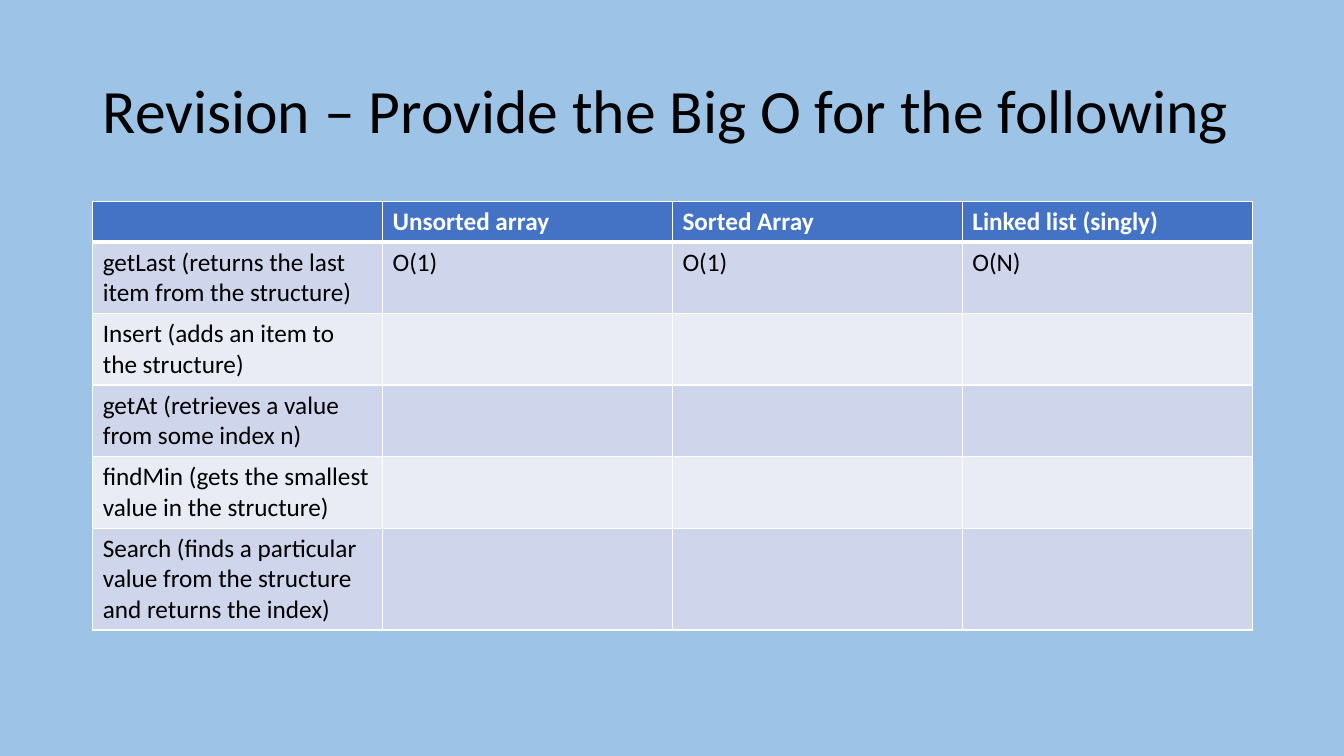
from dataclasses import dataclass

from lxml.etree import SubElement
from pptx import Presentation
from pptx.dml.color import RGBColor as RGB
from pptx.enum.text import MSO_ANCHOR as Anchor
from pptx.oxml.ns import qn
from pptx.util import Inches, Pt


@dataclass(frozen=True)
class Theme:
    font: str = "Calibri"
    back: str = "9DC3E6"
    head: str = "4472C4"
    bands: tuple = ("CFD5EA", "E9EBF5")
    ink: str = "000000"
    white: str = "FFFFFF"
    title: int = 44
    body: int = 18


theme = Theme()


def write(frame, text, size, color, bold=False):
    run = frame.paragraphs[0].add_run()
    run.text = text
    looks = {"name": theme.font, "size": Pt(size), "bold": bold}
    for name, value in looks.items():
        setattr(run.font, name, value)
    run.font.color.rgb = RGB.from_string(color)


def edge(cell, side, width):
    """Draw a white border on one side of a cell."""
    line = SubElement(cell._tc.get_or_add_tcPr(), qn(f"a:ln{side}"), w=str(Pt(width)))
    fill = SubElement(line, qn("a:solidFill"))
    SubElement(fill, qn("a:srgbClr"), val=theme.white)


deck = Presentation()
deck.slide_width, deck.slide_height = Inches(13.33), Inches(7.5)
slide = deck.slides.add_slide(deck.slide_layouts[6])
slide.background.fill.solid()
slide.background.fill.fore_color.rgb = RGB.from_string(theme.back)

# Title
box = slide.shapes.add_textbox(Inches(0.92), Inches(0.4), Inches(11.5), Inches(1.45))
frame = box.text_frame
frame.word_wrap = True
frame.vertical_anchor = Anchor.MIDDLE
frame.paragraphs[0].line_spacing = 0.9
write(frame, "Revision – Provide the Big O for the following", theme.title, theme.ink)

# Table of operations against structures
rows = [
    ("", "Unsorted array", "Sorted Array", "Linked list (singly)"),
    ("getLast (returns the last item from the structure)", "O(1)", "O(1)", "O(N)"),
    ("Insert (adds an item to the structure)", "", "", ""),
    ("getAt (retrieves a value from some index n)", "", "", ""),
    ("findMin (gets the smallest value in the structure)", "", "", ""),
    ("Search (finds a particular value from the structure and returns the index)", "", "", ""),
]
heights = [0.4] + [0.71] * 4 + [1.01]
table = slide.shapes.add_table(
    len(rows), len(rows[0]), Inches(0.92), Inches(2), Inches(11.5), Inches(sum(heights))
).table

for r, (texts, height) in enumerate(zip(rows, heights)):
    table.rows[r].height = Inches(height)
    head = r == 0
    fill = theme.head if head else theme.bands[(r - 1) % 2]
    color = theme.white if head else theme.ink
    for c, text in enumerate(texts):
        cell = table.cell(r, c)
        for side in "LRTB":
            thick = (head and side == "B") or (r == 1 and side == "T")
            edge(cell, side, 3 if thick else 1)
        cell.fill.solid()
        cell.fill.fore_color.rgb = RGB.from_string(fill)
        if text:
            write(cell.text_frame, text, theme.body, color, head)

deck.save("out.pptx")
